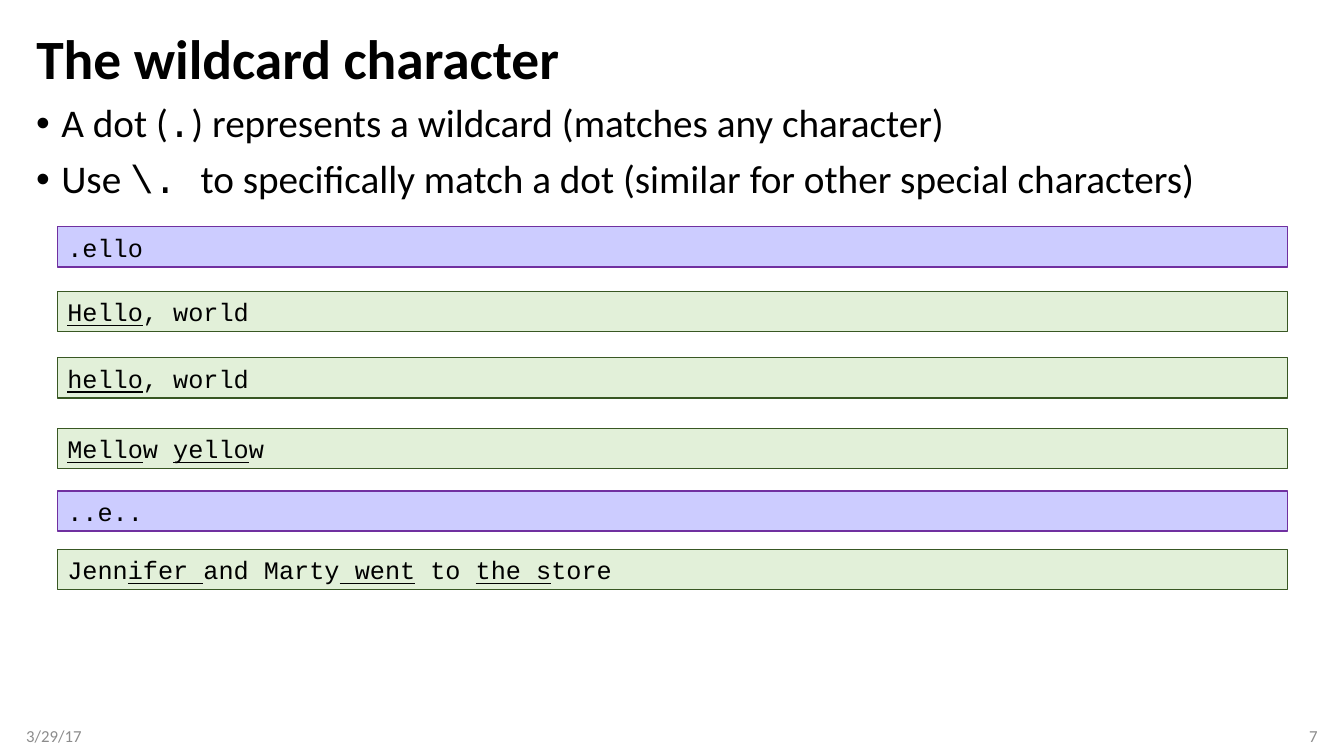
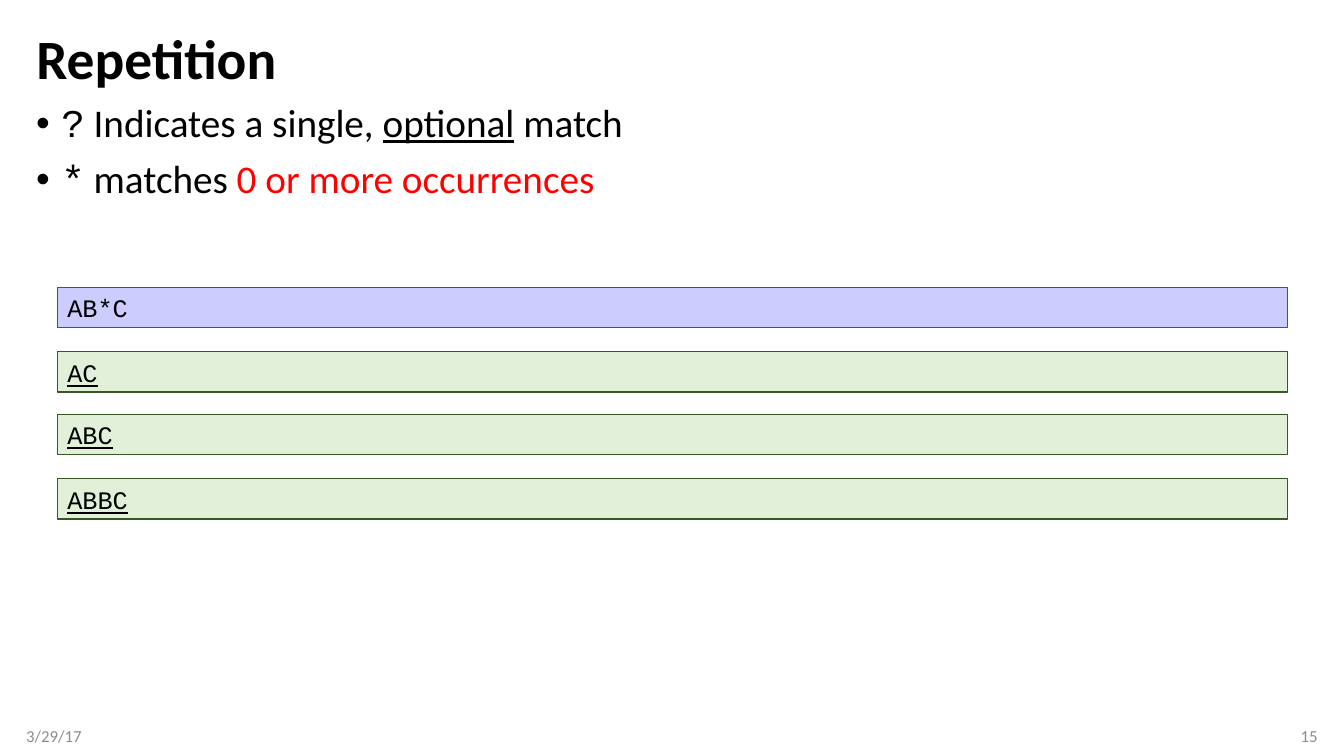
from pptx import Presentation
from pptx.dml.color import RGBColor
from pptx.enum.shapes import MSO_SHAPE
from pptx.enum.text import MSO_ANCHOR, MSO_AUTO_SIZE, PP_ALIGN
from pptx.oxml.ns import qn
from pptx.util import Inches, Pt
from lxml import etree

RECT = MSO_SHAPE.RECTANGLE
MID = MSO_ANCHOR.MIDDLE
TOP = MSO_ANCHOR.TOP
FIXED = MSO_AUTO_SIZE.NONE
LEFT = PP_ALIGN.LEFT
RIGHT = PP_ALIGN.RIGHT

BLACK = RGBColor(0x00, 0x00, 0x00)
GRAY = RGBColor(0x8C, 0x8C, 0x8C)
RED = RGBColor(0xFF, 0x00, 0x00)
LILAC = RGBColor(0xCC, 0xCC, 0xFF)
PURPLE = RGBColor(0x70, 0x30, 0xA0)
MINT = RGBColor(0xE2, 0xF0, 0xD9)
GREEN = RGBColor(0x38, 0x57, 0x23)

SANS = "Calibri"
CODE = "Courier New"
MONO = {"face": CODE}
UNDER = {"under": True}
WARN = {"ink": RED}

WIDE, HIGH = 13.33, 7.5
SIDE = 0.26
FULL = WIDE - 2 * SIDE
FOOT = (3, 0.4)
BAR = (0.57, 12.2, 0.4)
DATE = "3/29/17"
INSET = 0.1
INDENT = 0.25

PATTERN = (LILAC, PURPLE)
MATCH = (MINT, GREEN)

SLIDES = [
    {
        "title": "The wildcard character",
        "number": "7",
        "points": [
            ["A dot (", (".", MONO), ") represents a wildcard (matches any character)"],
            ["Use ", ("\\. ", MONO),
             "to specifically match a dot (similar for other special characters)"],
        ],
        "bars": [
            (2.25, PATTERN, ".ello"),
            (2.89, MATCH, "|Hello|, world"),
            (3.55, MATCH, "|hello|, world"),
            (4.25, MATCH, "|Mello|w |yello|w"),
            (4.87, PATTERN, "..e.."),
            (5.45, MATCH, "Jenn|ifer |and Marty| went| to |the s|tore"),
        ],
    },
    {
        "title": "Repetition",
        "number": "15",
        "points": [
            [("?", MONO), " Indicates a single, ", ("optional", UNDER), " match"],
            [("*", MONO), " matches ", ("0 or more occurrences", WARN)],
        ],
        "bars": [
            (2.85, PATTERN, "AB*C"),
            (3.49, MATCH, "|AC|"),
            (4.11, MATCH, "|ABC|"),
            (4.75, MATCH, "|ABBC|"),
        ],
    },
]


def style(run, size, face=SANS, ink=BLACK, bold=False, under=False):
    font = run.font
    font.size = Pt(size)
    font.name = face
    font.color.rgb = ink
    font.bold = bold
    font.underline = under


def write(shape, lines, align=LEFT, anchor=MID, space=1.0, before=0,
          bullet=False, left=INSET, right=INSET, **look):
    frame = shape.text_frame
    frame.word_wrap = True
    frame.auto_size = FIXED
    frame.vertical_anchor = anchor
    frame.margin_left, frame.margin_right = Inches(left), Inches(right)
    frame.margin_top = frame.margin_bottom = Inches(0.05)
    for i, line in enumerate(lines):
        para = frame.add_paragraph() if i else frame.paragraphs[0]
        para.alignment = align
        para.line_spacing = space
        para.space_before = Pt(before)
        if bullet:
            mark(para)
        for part in line:
            text, extra = (part, {}) if isinstance(part, str) else part
            run = para.add_run()
            run.text = text
            style(run, **{**look, **extra})


def mark(para):
    props = para._p.get_or_add_pPr()
    props.set("marL", str(Inches(INDENT)))
    props.set("indent", str(-Inches(INDENT)))
    etree.SubElement(props, qn("a:buFont")).set("typeface", "Arial")
    etree.SubElement(props, qn("a:buChar")).set("char", "•")


def add_text(slide, box, lines, **look):
    shape = slide.shapes.add_textbox(*map(Inches, box))
    write(shape, lines, **look)


def add_title(slide, text):
    title = slide.shapes.title
    title.left, title.top = Inches(SIDE), Inches(0.25)
    title.width, title.height = Inches(FULL), Inches(0.72)
    write(title, [[text]], size=39.6, bold=True, space=0.9)


def add_foot(slide, number):
    wide, high = FOOT
    top = HIGH - high
    add_text(slide, (SIDE, top, wide, high), [[DATE]],
             left=0, size=12, ink=GRAY)
    add_text(slide, (WIDE - SIDE - wide, top, wide, high), [[number]],
             right=0, align=RIGHT, size=12, ink=GRAY)


def add_bar(slide, top, tint, text):
    left, wide, high = BAR
    fill, edge = tint
    bar = slide.shapes.add_shape(RECT, *map(Inches, (left, top, wide, high)))
    bar.shadow.inherit = False
    bar.fill.solid()
    bar.fill.fore_color.rgb = fill
    bar.line.color.rgb = edge
    bar.line.width = Pt(1)
    parts = [(bit, {"under": i % 2 == 1})
             for i, bit in enumerate(text.split("|")) if bit]
    write(bar, [parts], size=18, face=CODE)


def add_slide(deck, title, number, points, bars):
    slide = deck.slides.add_slide(deck.slide_layouts[5])
    add_title(slide, title)
    add_text(slide, (SIDE, 0.98, FULL, 0.37), points, anchor=TOP,
             bullet=True, space=0.9, before=10, size=28)
    add_foot(slide, number)
    for bar in bars:
        add_bar(slide, *bar)


def main():
    deck = Presentation()
    deck.slide_width, deck.slide_height = Inches(WIDE), Inches(HIGH)
    for page in SLIDES:
        add_slide(deck, **page)
    deck.save("out.pptx")


if __name__ == "__main__":
    main()
